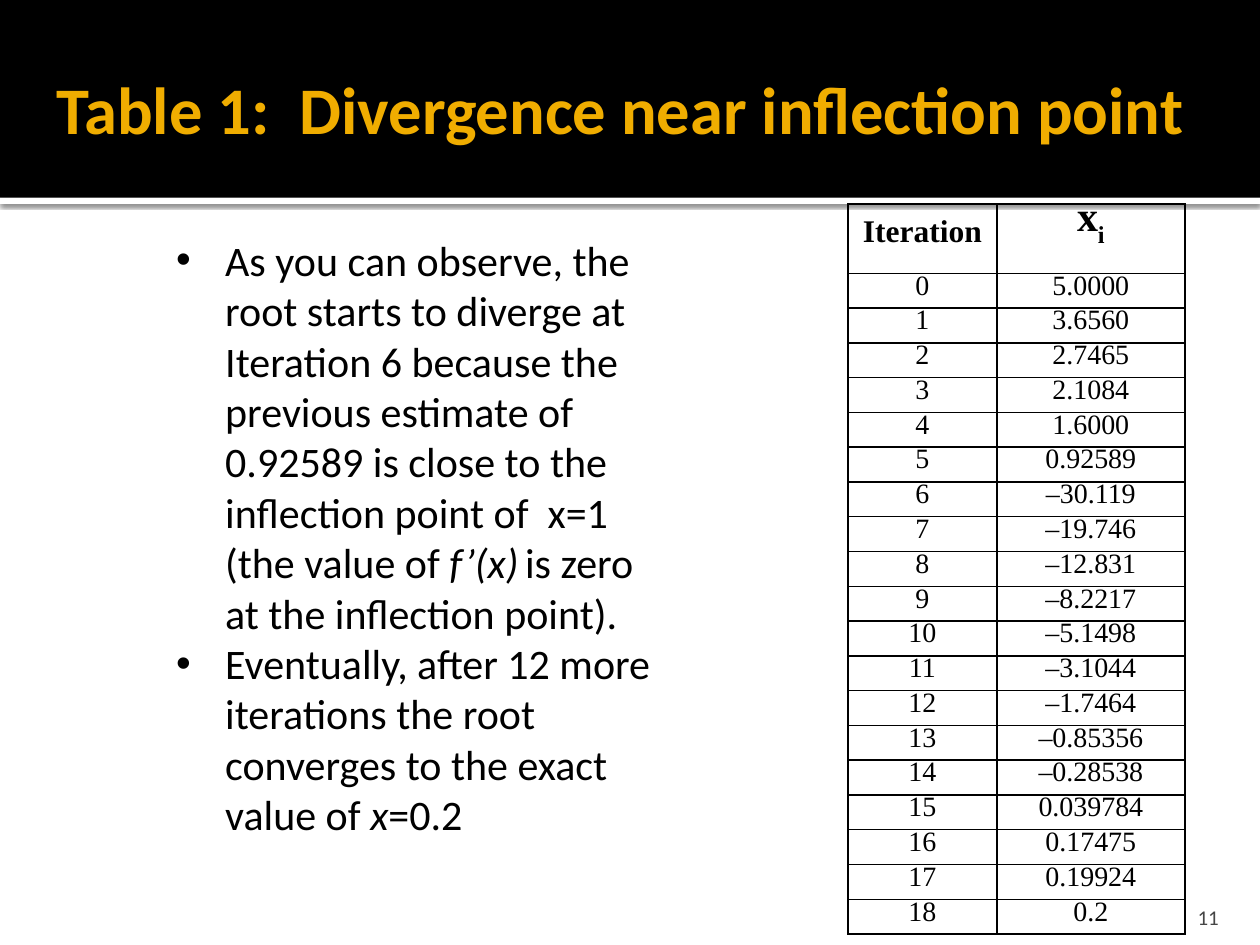
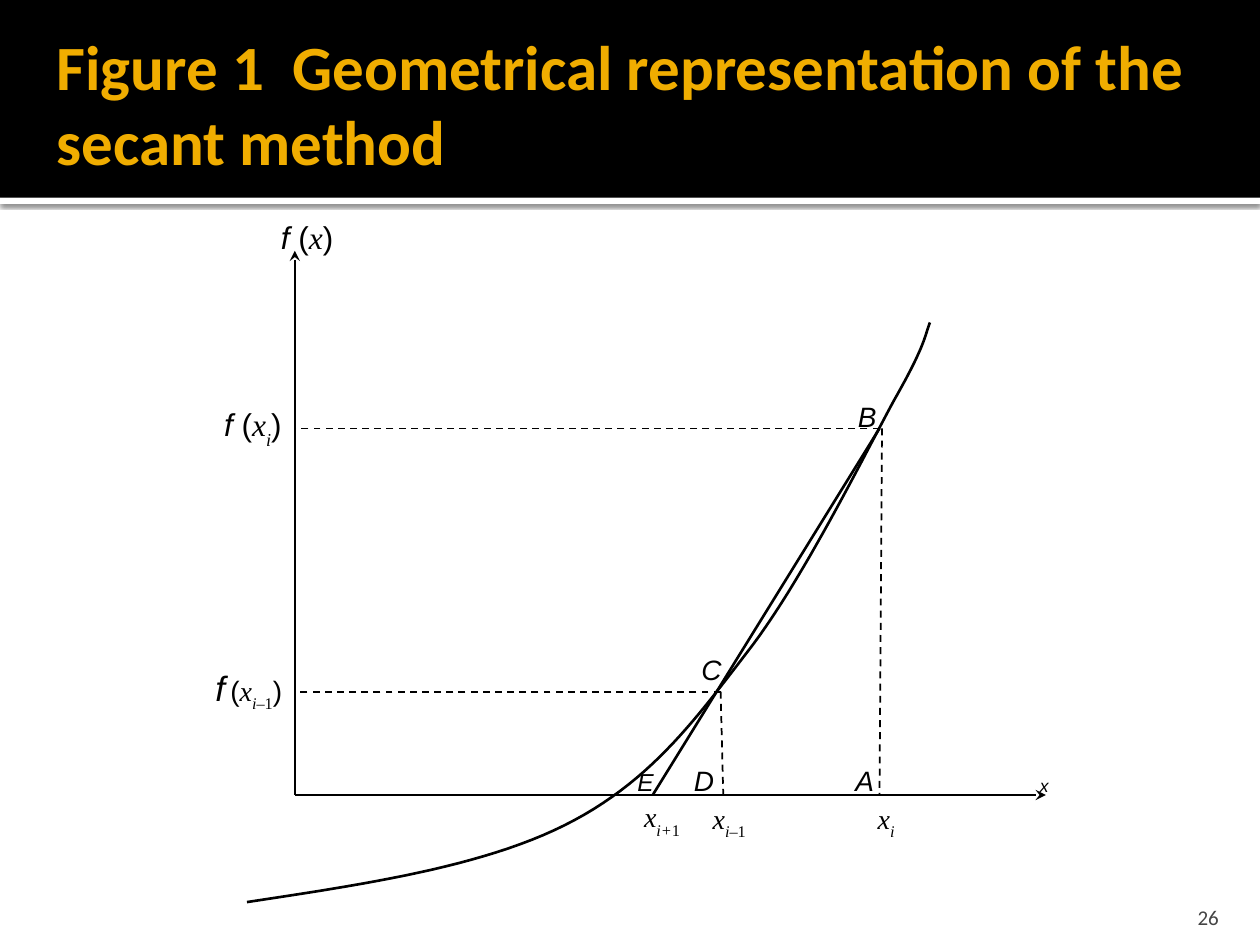
from dataclasses import dataclass

import pptx
import pptx.util
import pptx.dml.color
import pptx.enum.dml
import pptx.enum.shapes
import pptx.enum.text
import pptx.oxml
import pptx.oxml.ns

Pt = pptx.util.Pt
Align = pptx.enum.text.PP_ALIGN
Anchor = pptx.enum.text.MSO_ANCHOR
Preset = pptx.enum.shapes.MSO_SHAPE
NS = pptx.oxml.ns.nsdecls("a")


@dataclass(frozen=True)
class Theme:
    black: str = "000000"
    white: str = "FFFFFF"
    gold: str = "F0AD00"
    gray: str = "454545"
    sans: str = "Calibri"
    serif: str = "Times New Roman"
    plain: str = "Arial"
    body: int = 24
    head: int = 18
    cell: int = 16
    note: int = 12
    axis: int = 10
    thin: float = 1
    thick: float = 1.5


def tint(code):
    return pptx.dml.color.RGBColor.from_string(code)


def xml(text):
    return pptx.oxml.parse_xml(text)


class Deck:
    def __init__(self, theme):
        self.theme = theme
        self.file = pptx.Presentation()
        self.file.slide_width, self.file.slide_height = Pt(720), Pt(540)
        self.slide = None

    def page(self, title, box, size, align, number):
        """Start a slide with its band, title and page number."""
        t = self.theme
        self.slide = self.file.slides.add_slide(self.file.slide_layouts[6])
        rule = self.rect((0, 113, 720, 3.6), t.white)
        rule._element.spPr.find(pptx.oxml.ns.qn("a:effectLst")).append(xml(
            f'<a:outerShdw {NS} blurRad="{Pt(2.5)}" dist="{Pt(0.8)}" dir="5400000">'
            f'<a:srgbClr val="{t.black}"><a:alpha val="60000"/></a:srgbClr></a:outerShdw>'))
        self.rect((0, 0, 720, 113), t.black)
        self.text(box, [[(title, "b", size, t.sans)]], t.gold, align,
                  Anchor.MIDDLE, (7.2, 3.6, 3.6, 3.6))
        self.text((646, 509.8, 57.6, 21.6), [[(number, "", t.note, t.sans)]], t.gray,
                  Align.RIGHT, Anchor.BOTTOM, (7.2, 3.6, 7.2, 0))

    def rect(self, box, color):
        shape = self.slide.shapes.add_shape(Preset.RECTANGLE, *map(Pt, box))
        shape.shadow.inherit = False
        shape.fill.solid()
        shape.fill.fore_color.rgb = tint(color)
        shape.line.fill.background()
        return shape

    def fill(self, para, runs, color):
        """Add runs given as (text, marks, size, face); marks: b, i, _ (subscript)."""
        for text, marks, size, face in runs:
            run = para.add_run()
            run.text = text
            font = run.font
            font.size, font.name = Pt(size), face
            font.bold, font.italic = "b" in marks, "i" in marks
            font.color.rgb = tint(color)
            if "_" in marks:
                run._r.get_or_add_rPr().set("baseline", "-30000")

    def text(self, box, paras, color, align=Align.LEFT, anchor=Anchor.TOP,
             inset=(7.2, 3.6, 7.2, 3.6), bullet=False):
        frame = self.slide.shapes.add_textbox(*map(Pt, box)).text_frame
        frame.word_wrap = True
        frame.vertical_anchor = anchor
        (frame.margin_left, frame.margin_top,
         frame.margin_right, frame.margin_bottom) = map(Pt, inset)
        for n, runs in enumerate(paras):
            para = frame.add_paragraph() if n else frame.paragraphs[0]
            para.alignment = align
            if bullet:
                props = para._p.get_or_add_pPr()
                props.set("marL", str(Pt(28)))
                props.set("indent", str(-Pt(28)))
                props.append(xml(f'<a:buFont {NS} typeface="Arial"/>'))
                props.append(xml(f'<a:buChar {NS} char="•"/>'))
            self.fill(para, runs, color)

    def label(self, x, y, *runs):
        self.text((x, y, 80, 41), [runs], self.theme.black)

    def line(self, start, end, width, dash=False, arrow=False):
        line = self.slide.shapes.add_connector(
            pptx.enum.shapes.MSO_CONNECTOR.STRAIGHT, *map(Pt, start + end))
        line.line.color.rgb = tint(self.theme.black)
        line.line.width = Pt(width)
        if dash:
            line.line.dash_style = pptx.enum.dml.MSO_LINE.DASH
        if arrow:
            line.line._get_or_add_ln().append(xml(f'<a:tailEnd {NS} type="stealth"/>'))
        line._element.spPr.append(xml(f"<a:effectLst {NS}/>"))

    def curve(self, start, arcs, steps=24):
        """Draw cubic arcs, each given by two handles and an end point."""
        dots, last = [], start
        for arc in arcs:
            knots = (last, *arc)
            for n in range(1, steps + 1):
                t = n / steps
                part = ((1 - t) ** 3, 3 * t * (1 - t) ** 2, 3 * t * t * (1 - t), t ** 3)
                dots.append(tuple(Pt(sum(w * k[axis] for w, k in zip(part, knots)))
                                  for axis in (0, 1)))
            last = arc[-1]
        pen = self.slide.shapes.build_freeform(*map(Pt, start))
        pen.add_line_segments(dots, close=False)
        shape = pen.convert_to_shape()
        shape.shadow.inherit = False
        shape.fill.background()
        shape.line.color.rgb = tint(self.theme.black)
        shape.line.width = Pt(self.theme.thick)

    def table(self, spot, widths, heights, rows):
        grid = self.slide.shapes.add_table(
            len(rows), len(widths), *map(Pt, (*spot, sum(widths), sum(heights)))).table
        for col, width in zip(grid.columns, widths):
            col.width = Pt(width)
        for row, height, cells in zip(grid.rows, heights, rows):
            row.height = Pt(height)
            for cell, runs in zip(row.cells, cells):
                self.cell(cell, runs)

    def cell(self, cell, runs):
        t = self.theme
        cell.vertical_anchor = Anchor.MIDDLE
        cell.margin_left = cell.margin_right = Pt(5)
        cell.margin_top = cell.margin_bottom = 0
        for side in "LRTB":
            cell._tc.get_or_add_tcPr().append(xml(
                f'<a:ln{side} {NS} w="{Pt(t.thin)}"><a:solidFill>'
                f'<a:srgbClr val="{t.black}"/></a:solidFill></a:ln{side}>'))
        cell.fill.background()
        para = cell.text_frame.paragraphs[0]
        para.alignment = Align.CENTER
        para.line_spacing = Pt(12)
        self.fill(para, runs, t.black)


def diverge(deck):
    t = deck.theme
    deck.page("Table 1:  Divergence near inflection point", (0, 12.2, 705.6, 98.6),
              38, Align.CENTER, "11")
    roots = ("5.0000 3.6560 2.7465 2.1084 1.6000 0.92589 –30.119 –19.746 –12.831 "
             "–8.2217 –5.1498 –3.1044 –1.7464 –0.85356 –0.28538 0.039784 "
             "0.17475 0.19924 0.2").split()
    rows = [[[("Iteration", "b", t.head, t.serif)],
             [("x", "b", t.body, t.serif), ("i", "b_", t.body, t.serif)]]]
    rows += [[[(word, "", t.cell, t.serif)] for word in (str(n), root)]
             for n, root in enumerate(roots)]
    deck.table((484.6, 116.6), (85, 107.5), [39.6] + [19.88] * len(roots), rows)

    def say(text, marks="", size=t.body):
        return text, marks, size, t.sans

    deck.text((93.6, 130.3, 289.4, 378), [
        [say("As you can observe, the root starts to diverge at Iteration 6 because "
             "the previous estimate of 0.92589 is close to the inflection point of  "
             "x=1 (the value of "), say("f’(x)", "i"), say(" ", size=16),
         say("is zero at the inflection point).")],
        [say("Eventually, after 12 more iterations the root converges to the exact "
             "value of "), say("x", "i"), say("=0.2")],
    ], t.black, bullet=True)


def secant(deck):
    t = deck.theme
    deck.page("Figure 1  Geometrical representation of the secant method",
              (25.2, 9.4, 663.8, 98.6), 36, Align.LEFT, "26")

    def sans(text, size, marks=""):
        return text, marks, size, t.plain

    def math(text, size, marks="i"):
        return text, marks, size, t.serif

    big, mid = t.head, t.cell
    deck.label(153.4, 121, sans("f ", big, "i"), sans("(", big), math("x", big),
               sans(")", big))
    deck.label(121, 228.2, sans("f ", big, "i"), sans("(", big), math("x", big),
               math("i", big, "i_"), sans(")", big))
    before = [math("x", mid), math("i–", mid, "i_"), math("1", mid, "_")]
    deck.label(116, 377.3, sans("f", 20, "i"), sans(" ", 11, "i"), sans("(", mid),
               *before, sans(")", mid))
    deck.label(361, 453.6, math("x", mid), math("i+", mid, "i_"), math("1", mid, "_"))
    deck.label(400.2, 454.3, *before)
    deck.label(494.5, 454.3, math("x", mid), math("i", mid, "i_"))
    for name, x, y, size in (("x", 587.1, 439.2, t.axis), ("B", 483.1, 224.6, mid),
                             ("C", 393.7, 369.4, mid), ("A", 481.7, 432.7, mid),
                             ("D", 389.5, 432.7, mid), ("E", 357.1, 434.9, 14)):
        deck.label(x, y, sans(name, size, "i"))

    left, base = 168.5, 454.3
    high, low = (502.6, 244.8), (411.8, 395.3)
    deck.line(high, (373, base), t.thick)
    deck.curve((141.1, 515.5), (
        ((208.1, 505.4), (275, 495.4), (322.6, 471.6)),
        ((370.1, 447.8), (395.3, 414), (426.2, 373.7)),
        ((457.9, 333.4), (493.9, 259.9), (511.2, 228.2)),
        ((529.2, 196.6), (528.5, 191.5), (531.4, 184.3))))
    for tip in ((left, 143.3), (597.6, base)):
        deck.line((left, base), tip, t.thin, arrow=True)
    for spot, top, foot in ((high, 504, 502.6), (low, 411.8, 413.3)):
        deck.line((top, spot[1]), (foot, base), t.thin, dash=True)
        deck.line(spot, (left, spot[1]), t.thin, dash=True)


def main():
    deck = Deck(Theme())
    diverge(deck)
    secant(deck)
    deck.file.save("out.pptx")


if __name__ == "__main__":
    main()
